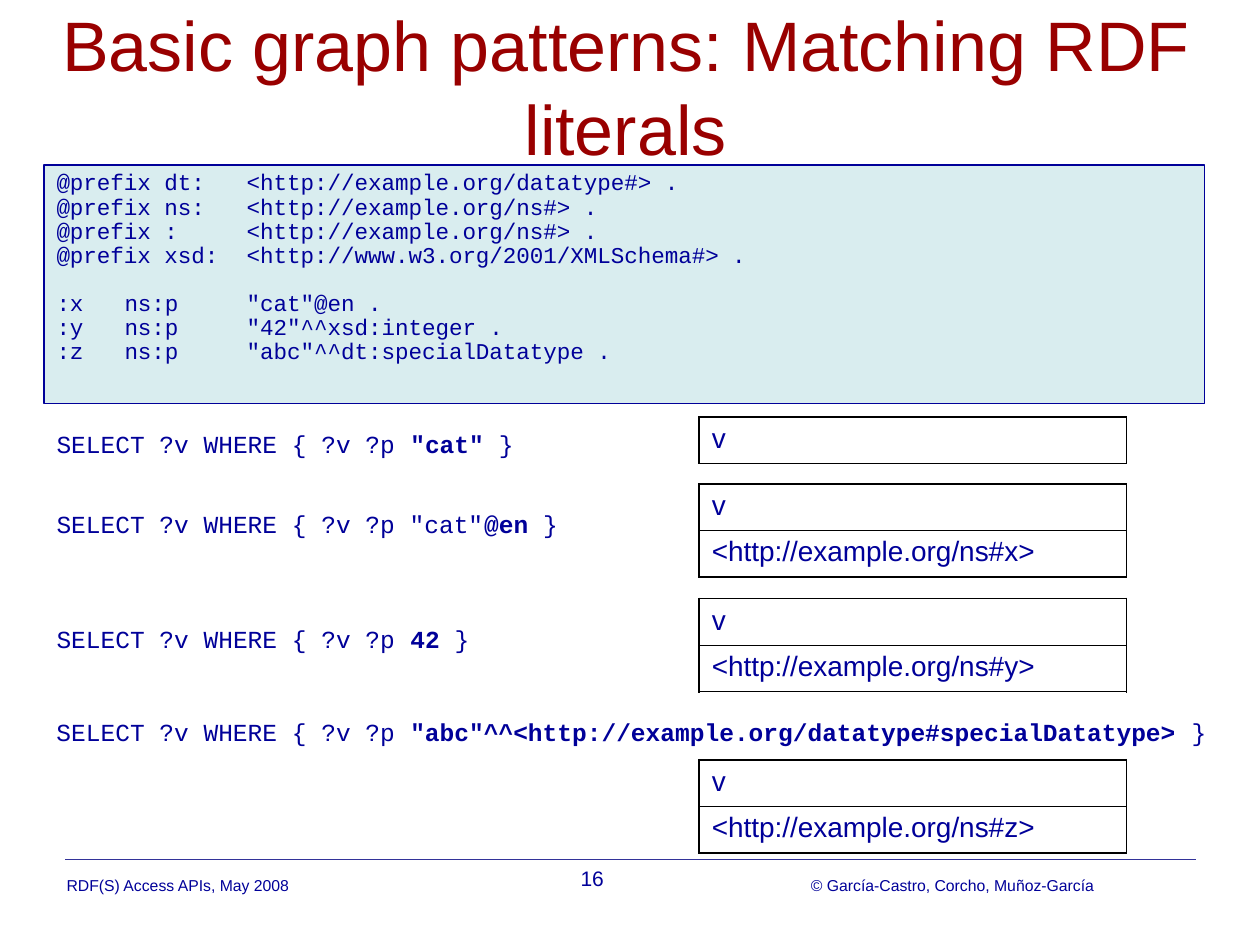
from lxml.etree import SubElement
from pptx import Presentation
from pptx.dml.color import RGBColor
from pptx.enum.shapes import MSO_CONNECTOR, MSO_SHAPE
from pptx.enum.text import MSO_ANCHOR, PP_ALIGN
from pptx.oxml.ns import qn
from pptx.util import Inches, Pt

COLORS = {"title": "990000", "text": "000099", "panel": "D9EDEF",
          "rule": "333399", "border": "000000"}
SANS, MONO = "Arial", "Courier New"


def write(para, pieces, size, font=SANS, color="text", **formats):
    """Fill a paragraph with (text, bold) pieces and set its formats."""
    for name, value in formats.items():
        setattr(para, name, value)
    for text, bold in pieces:
        span = para.add_run()
        span.text = text
        looks = {"name": font, "size": Pt(size), "bold": bold}
        for name, value in looks.items():
            setattr(span.font, name, value)
        span.font.color.rgb = RGBColor.from_string(COLORS[color])


def add_text(left, top, width, height, pieces, size, wrap=True,
             anchor=MSO_ANCHOR.TOP, **formats):
    box = page.shapes.add_textbox(Inches(left), Inches(top), Inches(width), Inches(height))
    box.text_frame.word_wrap = wrap
    box.text_frame.vertical_anchor = anchor
    write(box.text_frame.paragraphs[0], pieces, size, **formats)


deck = Presentation()
deck.slide_width, deck.slide_height = Inches(10), Inches(7.5)
page = deck.slides.add_slide(deck.slide_layouts[6])

# Footer
rule = page.shapes.add_connector(MSO_CONNECTOR.STRAIGHT, Inches(0.52), Inches(6.82),
                                 Inches(9.49), Inches(6.82))
rule.line.color.rgb = RGBColor.from_string(COLORS["rule"])
rule.line.width = Pt(0.75)
SubElement(rule.element.spPr, qn("a:effectLst"))
add_text(0.43, 6.9, 4.02, 0.25, [("RDF(S) Access APIs, May 2008", False)], 9)
add_text(4.51, 6.82, 0.96, 0.3, [("16", False)], 12, wrap=False)
add_text(5.63, 6.9, 3.15, 0.25, [("© García-Castro, Corcho, Muñoz-García", False)], 9,
         alignment=PP_ALIGN.RIGHT)

# Title
add_text(0.2, 0.05, 9.53, 1.25, [("Basic graph patterns: Matching RDF literals", False)], 40,
         anchor=MSO_ANCHOR.MIDDLE, color="title", alignment=PP_ALIGN.CENTER)

# Data panel: tab stops line up the code columns
panel = page.shapes.add_shape(MSO_SHAPE.RECTANGLE, Inches(0.35), Inches(1.31),
                              Inches(9.21), Inches(1.89))
panel.shadow.inherit = False
panel.fill.solid()
panel.fill.fore_color.rgb = RGBColor.from_string(COLORS["panel"])
panel.line.color.rgb = RGBColor.from_string(COLORS["text"])
panel.line.width = Pt(0.75)
frame = panel.text_frame
frame.word_wrap = True
frame.vertical_anchor = MSO_ANCHOR.TOP
prefixes = ["@prefix dt:\t<http://example.org/datatype#> .",
            "@prefix ns:\t<http://example.org/ns#> .",
            "@prefix :\t<http://example.org/ns#> .",
            "@prefix xsd:\t<http://www.w3.org/2001/XMLSchema#> ."]
triples = [':x\tns:p\t"cat"@en .',
           ':y\tns:p\t"42"^^xsd:integer .',
           ':z\tns:p\t"abc"^^dt:specialDatatype .']
for index, line in enumerate(prefixes + triples):
    para = frame.paragraphs[0] if index == 0 else frame.add_paragraph()
    gap = Pt(13.2) if index == len(prefixes) else Pt(0)
    write(para, [(line, False)], 12.9, font=MONO, alignment=PP_ALIGN.LEFT,
          line_spacing=0.9, space_before=gap)
    tabs = SubElement(para._p.get_or_add_pPr(), qn("a:tabLst"))
    for stop in (0.54, 1.51):
        SubElement(tabs, qn("a:tab"), pos=str(Inches(stop)), algn="l")

# Queries, each with its result table
START, END = "SELECT ?v WHERE { ?v ?p ", " }"
queries = [
    (3.36, 9.21, START, '"cat"', 3.31, ["v"]),
    (3.99, 9.21, START + '"cat"', "@en", 3.84, ["v", "<http://example.org/ns#x>"]),
    (4.9, 9.21, START, "42", 4.75, ["v", "<http://example.org/ns#y>"]),
    (5.64, 9.37, START, '"abc"^^<http://example.org/datatype#specialDatatype>',
     6.03, ["v", "<http://example.org/ns#z>"]),
]
ROW = 0.37
for top, width, start, literal, table_top, rows in queries:
    add_text(0.35, top, width, 0.34, [(start, False), (literal, True), (END, False)], 14,
             font=MONO)
    table = page.shapes.add_table(len(rows), 1, Inches(5.55), Inches(table_top),
                                  Inches(3.39), Inches(ROW * len(rows))).table
    table.first_row = table.horz_banding = False
    for index, text in enumerate(rows):
        cell = table.cell(index, 0)
        write(cell.text_frame.paragraphs[0], [(text, False)], 16, space_before=Pt(4))
        properties = cell._tc.get_or_add_tcPr()
        widths = {"lnL": 1.08, "lnR": 1.08,
                  "lnT": 1.08 if index == 0 else 0.45,
                  "lnB": 1.08 if index == len(rows) - 1 else 0.45}
        for side, points in widths.items():
            border = SubElement(properties, qn(f"a:{side}"), w=str(Pt(points)))
            fill = SubElement(border, qn("a:solidFill"))
            SubElement(fill, qn("a:srgbClr"), val=COLORS["border"])
        cell.fill.background()

deck.save("out.pptx")
